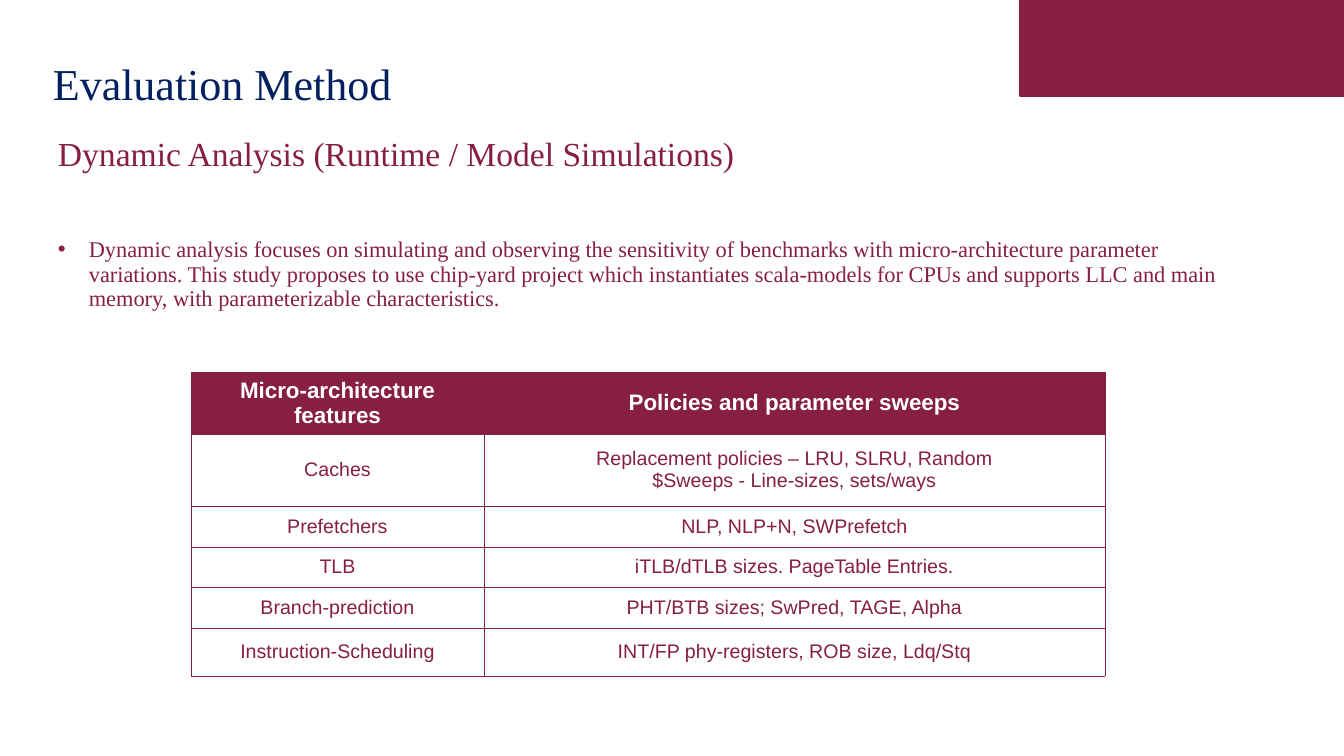
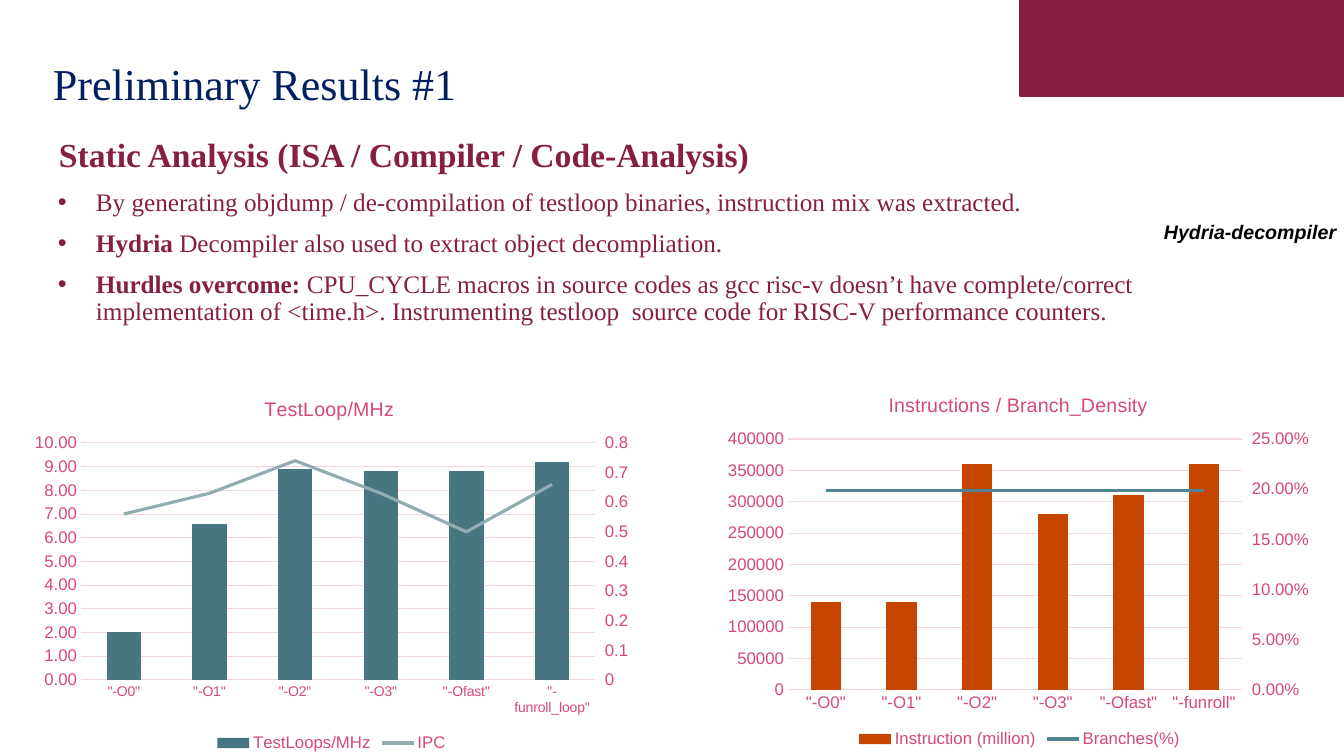
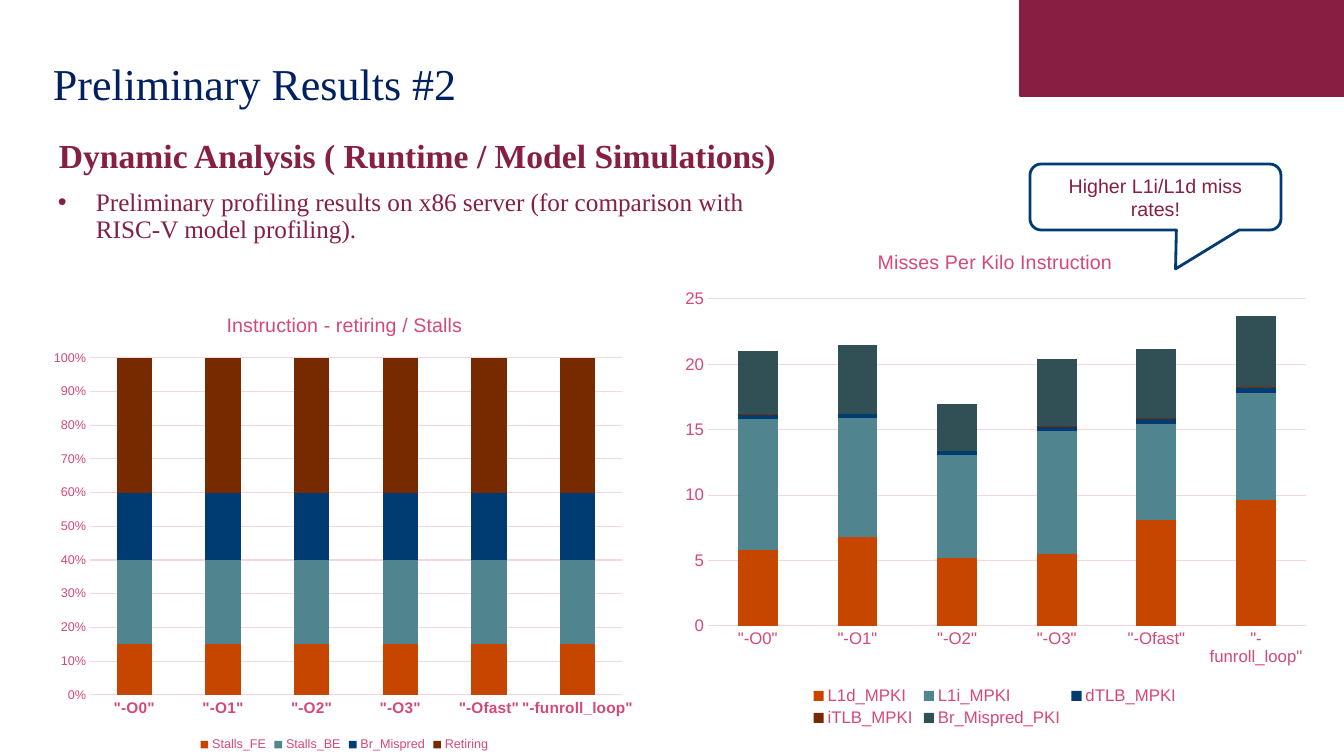
from copy import deepcopy

from pptx import Presentation, oxml
from pptx import util as u
from pptx.chart import axis as ax
from pptx.chart.data import CategoryChartData
from pptx.dml.color import RGBColor
from pptx.enum import chart as ch
from pptx.enum import shapes, text
from pptx.oxml import ns

SCALE = 914400 / 100.8
MAROON, NAVY, WHITE, BLACK = "861F41", "002060", "FFFFFF", "000000"
PINK, GRID = "D54977", "F5D5E0"
RUST, TEAL, BLUE, BROWN, SLATE = "C64600", "508590", "003C71", "772A00", "305056"
DARK_TEAL, PALE_TEAL = "477680", "93ACB2"
SERIF, SANS = "Times New Roman", "Arial"
LEVELS = ['"-O0"', '"-O1"', '"-O2"', '"-O3"', '"-Ofast"']
FLAGS = LEVELS + ['"-funroll_loop"']


def px(n):
    """Turn pixels into EMU."""
    return u.Emu(round(n * SCALE))


def box(*lengths):
    """Turn left, top, width and height into EMU."""
    return [px(n) for n in lengths]


def rgb(value):
    """Make a colour from a hex string."""
    return RGBColor.from_string(value)


def style(font, size, color, name=SANS, bold=False, italic=False):
    """Format a font."""
    font.size, font.name = u.Pt(size), name
    font.bold, font.italic = bold, italic
    font.color.rgb = rgb(color)


def element(xml):
    """Build an XML element in the drawing and chart namespaces."""
    return oxml.parse_xml(f"<root {ns.nsdecls('a', 'c')}>{xml}</root>")[0]


def write(tf, content, size, color=MAROON, name=SANS, bold=False, italic=False,
          align=None, before=None, line=None, left=0, hang=0):
    """Add a paragraph of plain text or (text, bold) runs, bulleted if it hangs."""
    p = tf.paragraphs[0]
    if p.runs:
        p = tf.add_paragraph()
    p.alignment, p.line_spacing = align, line
    if before is not None:
        p.space_before = u.Pt(before)
    runs = [(content, bold)] if isinstance(content, str) else content
    for words, heavy in runs:
        r = p.add_run()
        r.text = words
        style(r.font, size, color, name, heavy, italic)
    if left:
        pr = p._p.get_or_add_pPr()
        pr.set("marL", str(px(left)))
        pr.set("indent", str(px(-hang)))
        if hang:
            pr.append(element(f'<a:buClr><a:srgbClr val="{color}"/></a:buClr>'))
            pr.append(element('<a:buFont typeface="Arial"/>'))
            pr.append(element('<a:buChar char="•"/>'))


def add_text(s, at, wrap=True, anchor=text.MSO_ANCHOR.TOP):
    """Add a text box and return its frame."""
    tf = s.shapes.add_textbox(*box(*at)).text_frame
    tf.word_wrap, tf.vertical_anchor = wrap, anchor
    return tf


def add_shape(s, kind, at, fill, line, width):
    """Add a filled preset shape without a shadow."""
    sp = s.shapes.add_shape(kind, *box(*at))
    sp.shadow.inherit = False
    sp.fill.solid()
    sp.fill.fore_color.rgb = rgb(fill)
    sp.line.color.rgb, sp.line.width = rgb(line), u.Pt(width)
    return sp


def new_slide(prs, title):
    """Add a slide with the corner band and a title."""
    s = prs.slides.add_slide(prs.slide_layouts[6])
    add_shape(s, shapes.MSO_SHAPE.RECTANGLE, (1020, 0, 324, 96), MAROON, MAROON, 1)
    tf = add_text(s, (43, 56, 1083, 60), anchor=text.MSO_ANCHOR.MIDDLE)
    write(tf, title, 31.5, NAVY, SERIF, line=0.9)
    return s


def add_body(s, at, heading, bullets, size=18, bold=True, before=10, left=43, hang=38):
    """Add a heading with bullets below it."""
    tf = add_text(s, at)
    write(tf, heading, 24, name=SERIF, bold=bold, before=10, line=0.9, left=6)
    for item in bullets:
        write(tf, item, size, name=SERIF, before=before, line=0.9, left=left, hang=hang)


def add_borders(cell, color, width):
    """Draw the four borders of a table cell."""
    pr = cell._tc.get_or_add_tcPr()
    for i, side in enumerate("LRTB"):
        pr.insert(i, element(f'<a:ln{side} w="{u.Pt(width)}"><a:solidFill>'
                             f'<a:srgbClr val="{color}"/></a:solidFill></a:ln{side}>'))


def add_table(s, left, top, widths, heights, rows):
    """Add a bordered table with a filled header row."""
    at = box(left, top, sum(widths), sum(heights))
    table = s.shapes.add_table(len(rows), len(widths), *at).table
    table.horz_banding = False
    for column, width in zip(table.columns, widths):
        column.width = px(width)
    for i, (row, height) in enumerate(zip(rows, heights)):
        table.rows[i].height = px(height)
        for cell, content in zip(table.rows[i].cells, row):
            cell.margin_left = cell.margin_right = px(7)
            cell.margin_top = cell.margin_bottom = 0
            cell.vertical_anchor = text.MSO_ANCHOR.MIDDLE
            cell.fill.solid()
            cell.fill.fore_color.rgb = rgb(WHITE if i else MAROON)
            add_borders(cell, MAROON, 0.25)
            for words in content.split("\n"):
                write(cell.text_frame, words, 14 if i else 16, MAROON if i else WHITE,
                      bold=not i, align=text.PP_ALIGN.CENTER)


def place(part, at, frame, inner=False):
    """Fix a chart part at a pixel position within the chart frame."""
    for old in part.findall(ns.qn("c:layout")):
        part.remove(old)
    left, top, width, height = frame
    shares = [(at[0] - left) / width, (at[1] - top) / height]
    shares += [n / total for n, total in zip(at[2:], (width, height))]
    target = '<c:layoutTarget val="inner"/>' if inner else ""
    modes = '<c:xMode val="edge"/><c:yMode val="edge"/>'
    values = "".join(f'<c:{k} val="{n:.4f}"/>' for k, n in zip("xywh", shares))
    layout = element(f"<c:layout><c:manualLayout>{target}{modes}{values}"
                     "</c:manualLayout></c:layout>")
    for tag in ("c:tx", "c:legendPos"):
        anchor = part.find(ns.qn(tag))
        if anchor is not None:
            anchor.addnext(layout)
            return
    part.insert(0, layout)


def add_chart(s, kind, at, title, title_at, plot_at, cats, series, size=12, cat_size=12,
              cat_bold=False, top=None, step=None, fmt="General", legend_at=None):
    """Add a column chart; series are (name, values, colour)."""
    data = CategoryChartData()
    data.categories = cats
    for name, values, _ in series:
        data.add_series(name, values)
    chart = s.shapes.add_chart(kind, *box(*at), data).chart
    style(chart.font, size, PINK)
    chart.has_title = True
    write(chart.chart_title.text_frame, title, 14, PINK)
    chart.chart_title.include_in_layout = False
    chart.has_legend = True
    chart.legend.position = ch.XL_LEGEND_POSITION.BOTTOM
    chart.legend.include_in_layout = False
    style(chart.legend.font, size, PINK)

    plot = chart.plots[0]
    plot.gap_width, plot.vary_by_categories = 150, False
    if kind != ch.XL_CHART_TYPE.COLUMN_CLUSTERED:
        plot.overlap = 100
    for ser, (_, _, color) in zip(plot.series, series):
        ser.format.fill.solid()
        ser.format.fill.fore_color.rgb = rgb(color)

    cat, val = chart.category_axis, chart.value_axis
    for axis in (cat, val):
        axis.major_tick_mark = ch.XL_TICK_MARK.NONE
        axis.minor_tick_mark = ch.XL_TICK_MARK.NONE
    style(cat.tick_labels.font, cat_size, PINK, bold=cat_bold)
    style(val.tick_labels.font, size, PINK)
    val.format.line.fill.background()
    val.has_major_gridlines = True
    for line in (cat.format.line, val.major_gridlines.format.line):
        line.color.rgb, line.width = rgb(GRID), u.Pt(0.75)
    val.tick_labels.number_format = fmt
    val.tick_labels.number_format_is_linked = False
    if top:
        val.minimum_scale, val.maximum_scale, val.major_unit = 0, top, step

    place(chart.chart_title._element, title_at, at)
    place(chart._chartSpace.chart.plotArea, plot_at, at, inner=True)
    if legend_at:
        place(chart.legend._element, legend_at, at)
    return chart


def move_to_right_axis(chart, color, top, step, fmt):
    """Turn the last column series into a line on a second value axis."""
    bars = chart.plots[0]._element
    ser = bars.findall(ns.qn("c:ser"))[-1]
    for tag in ("c:invertIfNegative", "c:spPr"):
        for old in ser.findall(ns.qn(tag)):
            ser.remove(old)
    lines = element('<c:lineChart><c:grouping val="standard"/><c:varyColors val="0"/>'
                    '<c:marker val="1"/><c:axId val="5001"/><c:axId val="5002"/></c:lineChart>')
    lines.insert(2, ser)
    bars.addnext(lines)

    cat, val = chart.category_axis._element, chart.value_axis._element
    hidden, right = deepcopy(cat), deepcopy(val)
    val.addnext(right)
    right.addnext(hidden)
    for el, own, other in ((hidden, "5001", "5002"), (right, "5002", "5001")):
        el.find(ns.qn("c:axId")).set("val", own)
        el.find(ns.qn("c:crossAx")).set("val", other)
    right.find(ns.qn("c:axPos")).set("val", "r")
    right.find(ns.qn("c:crosses")).set("val", "max")
    ax.CategoryAxis(hidden).visible = False
    axis = ax.ValueAxis(right)
    axis.has_major_gridlines = False
    axis.major_tick_mark = ch.XL_TICK_MARK.OUTSIDE
    axis.maximum_scale, axis.major_unit = top, step
    axis.tick_labels.number_format = fmt

    line = chart.plots[1].series[0]
    line.smooth = False
    line.marker.style = ch.XL_MARKER_STYLE.NONE
    line.format.line.color.rgb, line.format.line.width = rgb(color), u.Pt(2.25)


def evaluation_method(prs):
    """Build the slide on the evaluation method."""
    s = new_slide(prs, "Evaluation Method")
    add_body(s, (42, 133, 1209, 230), "Dynamic Analysis (Runtime / Model Simulations)", [
        "Dynamic analysis focuses on simulating and observing the sensitivity of benchmarks "
        "with micro-architecture parameter variations. This study proposes to use chip-yard "
        "project which instantiates scala-models for CPUs and supports LLC and main memory, "
        "with parameterizable characteristics."],
        size=16, bold=False, before=46, left=37, hang=31)
    add_table(s, 191, 372, (293, 621), (62, 72, 41, 40, 41, 48), [
        ("Micro-architecture features", "Policies and parameter sweeps"),
        ("Caches", "Replacement policies – LRU, SLRU, Random\n$Sweeps - Line-sizes, sets/ways"),
        ("Prefetchers", "NLP, NLP+N, SWPrefetch"),
        ("TLB", "iTLB/dTLB sizes. PageTable Entries."),
        ("Branch-prediction", "PHT/BTB sizes; SwPred, TAGE, Alpha"),
        ("Instruction-Scheduling", "INT/FP phy-registers, ROB size, Ldq/Stq")])


def static_results(prs):
    """Build the slide with the static analysis results."""
    s = new_slide(prs, "Preliminary Results #1")
    add_body(s, (43, 134, 1209, 230), "Static Analysis (ISA / Compiler / Code-Analysis)", [
        "By generating objdump / de-compilation of testloop binaries, instruction mix was extracted.",
        [("Hydria ", True), ("Decompiler also used to extract object decompliation.", False)],
        [("Hurdles overcome:", True),
         (" CPU_CYCLE macros in source codes as gcc risc-v doesn’t have complete/correct "
          "implementation of <time.h>. Instrumenting testloop  source code for RISC-V "
          "performance counters.", False)]])
    clustered = ch.XL_CHART_TYPE.COLUMN_CLUSTERED
    chart = add_chart(
        s, clustered, (22, 380, 619, 376), "TestLoop/MHz", (261, 393), (81, 443, 514, 237), FLAGS,
        [("TestLoops/MHz", (2, 6.6, 8.9, 8.8, 8.8, 9.2), DARK_TEAL),
         ("IPC", (0.56, 0.63, 0.74, 0.63, 0.5, 0.66), PALE_TEAL)],
        cat_size=10, top=10, step=1, fmt="0.00")
    move_to_right_axis(chart, PALE_TEAL, 0.8, 0.1, "General")
    tf = add_text(s, (1154, 215, 190, 34), wrap=False)
    tf.margin_right = 0
    write(tf, "Hydria-decompiler", 14, BLACK, bold=True, italic=True)
    chart = add_chart(
        s, clustered, (717, 376, 605, 376), "Instructions / Branch_Density", (885, 389),
        (788, 439, 454, 251), LEVELS + ['"-funroll"'],
        [("Instruction (million)", (140000, 140000, 360000, 280000, 310000, 360000), RUST),
         ("Branches(%)", (0.199,) * 6, TEAL)],
        top=400000, step=50000)
    move_to_right_axis(chart, TEAL, 0.25, 0.05, "0.00%")


def dynamic_results(prs):
    """Build the slide with the dynamic analysis results."""
    s = new_slide(prs, "Preliminary Results #2")
    add_body(s, (43, 134, 773, 161), "Dynamic Analysis ( Runtime / Model Simulations)", [
        "Preliminary profiling results on x86 server (for comparison with RISC-V model profiling)."])
    shares = (("Stalls_FE", 15, RUST), ("Stalls_BE", 25, TEAL),
              ("Br_Mispred", 20, BLUE), ("Retiring", 40, BROWN))
    add_chart(
        s, ch.XL_CHART_TYPE.COLUMN_STACKED_100, (43, 294, 603, 462),
        "Instruction - retiring / Stalls", (223, 309), (90, 358, 532, 337), FLAGS,
        [(name, (share,) * 6, color) for name, share, color in shares],
        size=9, cat_size=11, cat_bold=True, fmt="0%")
    add_chart(
        s, ch.XL_CHART_TYPE.COLUMN_STACKED, (672, 231, 646, 500),
        "Misses Per Kilo Instruction", (874, 246), (708, 299, 598, 327), FLAGS,
        [("L1d_MPKI", (5.8, 6.8, 5.2, 5.5, 8.1, 9.6), RUST),
         ("L1i_MPKI", (10, 9.1, 7.9, 9.4, 7.3, 8.2), TEAL),
         ("dTLB_MPKI", (0.3, 0.3, 0.3, 0.3, 0.4, 0.4), BLUE),
         ("iTLB_MPKI", (0.1, 0, 0, 0.1, 0.1, 0.1), BROWN),
         ("Br_Mispred_PKI", (4.8, 5.3, 3.6, 5.1, 5.3, 5.4), SLATE)],
        top=25, step=5, legend_at=(808, 683, 374, 48))
    sp = add_shape(s, shapes.MSO_SHAPE.ROUNDED_RECTANGULAR_CALLOUT, (1030, 164, 251, 66),
                   WHITE, BLUE, 2)
    for i, value in enumerate((0.08, 1.09, 0.17)):
        sp.adjustments[i] = value
    sp.text_frame.word_wrap = True
    sp.text_frame.vertical_anchor = text.MSO_ANCHOR.MIDDLE
    write(sp.text_frame, "Higher L1i/L1d miss rates!", 14, align=text.PP_ALIGN.CENTER)


def main():
    """Build and save the presentation."""
    prs = Presentation()
    prs.slide_width, prs.slide_height = px(1344), px(756)
    evaluation_method(prs)
    static_results(prs)
    dynamic_results(prs)
    prs.save("out.pptx")


main()
